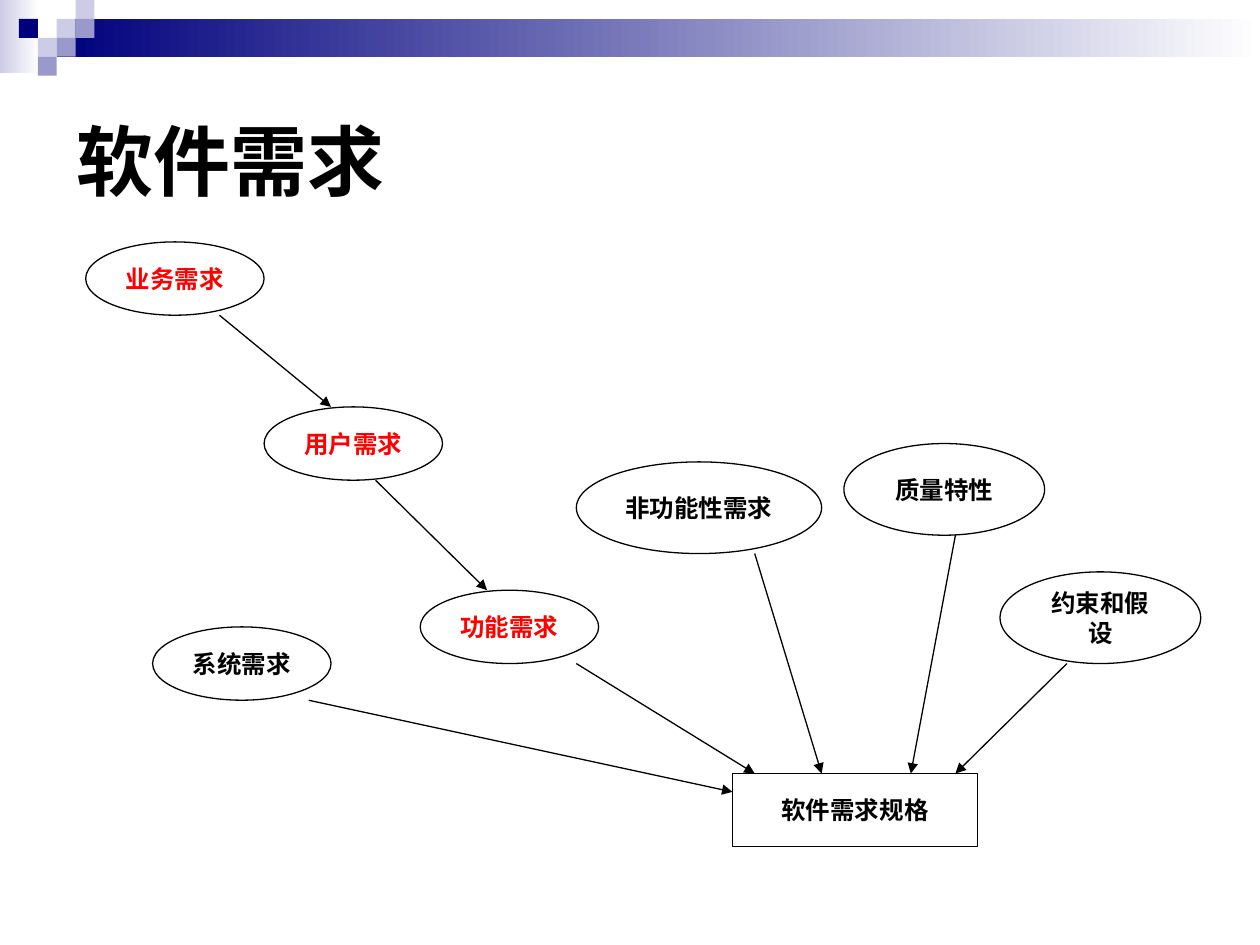
from dataclasses import dataclass
from typing import NamedTuple, Optional

import lxml.etree
import pptx
import pptx.dml.color
import pptx.enum.shapes
import pptx.enum.text
import pptx.oxml.ns
import pptx.util

SHAPES = pptx.enum.shapes.MSO_SHAPE
ALIGN = pptx.enum.text.PP_ALIGN


@dataclass(frozen=True)
class Theme:
    paper: str = "FFFFFF"
    ink: str = "000000"
    accent: str = "FF0000"
    navy: str = "00007D"
    lavender: str = "CCCCE6"
    violet: str = "9999CC"
    title_font: str = "Noto Sans CJK SC"
    label_font: str = "Times New Roman"
    asian_font: str = "Noto Sans CJK SC"
    title_size: float = 44
    label_size: float = 14
    line_width: float = 0.75


class Grid(NamedTuple):
    left: float
    top: float
    column: float
    row: float

    def point(self, column: float, row: float) -> tuple[float, float]:
        return self.left + column * self.column, self.top + row * self.row

    def area(self, column: float, row: float, columns: float, rows: float) -> "Area":
        return Area(*self.point(column, row), columns * self.column, rows * self.row)


class Area(NamedTuple):
    left: float
    top: float
    width: float
    height: float

    def lengths(self) -> list[int]:
        return [pptx.util.Inches(value) for value in self]


class Node(NamedTuple):
    text: str
    column: int
    row: int
    columns: int = 8
    rows: int = 4
    color: str = Theme.ink
    kind: SHAPES = SHAPES.OVAL


class Arrow(NamedTuple):
    start: tuple[int, int]
    end: tuple[int, int]


class Tile(NamedTuple):
    column: int
    row: int
    color: str


THEME = Theme()
TILE_GRID = Grid(0, 0, 0.15, 0.15)
DIAGRAM_GRID = Grid(0.68, 1.92, 0.177, 0.1455)

BANDS = [
    (Area(0, 0, 0.31, 0.58), THEME.lavender),
    (Area(0.45, 0.15, 9.55, 0.3), THEME.navy),
]
TILES = [
    Tile(3, 1, THEME.lavender),
    Tile(4, 0, THEME.lavender),
    Tile(4, 1, THEME.violet),
    Tile(2, 2, THEME.lavender),
    Tile(1, 1, THEME.navy),
    Tile(3, 2, THEME.violet),
    Tile(2, 3, THEME.violet),
]
NODES = [
    Node("业务需求", 0, 0, color=THEME.accent),
    Node("用户需求", 8, 9, color=THEME.accent),
    Node("功能需求", 15, 19, color=THEME.accent),
    Node("软件需求规格", 29, 29, columns=11, kind=SHAPES.RECTANGLE),
    Node("非功能性需求", 22, 12, columns=11, rows=5),
    Node("质量特性", 34, 11, columns=9, rows=5),
    Node("约束和假设", 41, 18, columns=9, rows=5),
    Node("系统需求", 3, 21),
]
ARROWS = [
    Arrow((6, 4), (11, 9)),
    Arrow((13, 13), (18, 19)),
    Arrow((22, 23), (30, 29)),
    Arrow((10, 25), (29, 30)),
    Arrow((30, 17), (33, 29)),
    Arrow((39, 16), (37, 29)),
    Arrow((44, 23), (39, 29)),
]


def rgb(color: str) -> pptx.dml.color.RGBColor:
    return pptx.dml.color.RGBColor.from_string(color)


def add_child(parent, tag: str, **attributes: str) -> None:
    lxml.etree.SubElement(parent, pptx.oxml.ns.qn(tag), **attributes)


def write(box, text: str, size: float, font: str, color: str, align: ALIGN) -> None:
    frame = box.text_frame
    frame.word_wrap = True
    frame.vertical_anchor = pptx.enum.text.MSO_ANCHOR.MIDDLE
    para = frame.paragraphs[0]
    para.alignment = align
    span = para.add_run()
    span.text = text
    span.font.size = pptx.util.Pt(size)
    span.font.bold = True
    span.font.name = font
    span.font.color.rgb = rgb(color)
    add_child(span.font._element, "a:ea", typeface=THEME.asian_font)


def add_filled(page, kind: SHAPES, area: Area, color: str, fade_to: Optional[str] = None):
    shape = page.shapes.add_shape(kind, *area.lengths())
    shape.shadow.inherit = False
    shape.line.fill.background()
    if fade_to is None:
        shape.fill.solid()
        shape.fill.fore_color.rgb = rgb(color)
    else:
        shape.fill.gradient()
        shape.fill.gradient_angle = 0
        for stop, shade in zip(shape.fill.gradient_stops, (color, fade_to)):
            stop.color.rgb = rgb(shade)
    return shape


def style_line(line) -> None:
    line.color.rgb = rgb(THEME.ink)
    line.width = pptx.util.Pt(THEME.line_width)


def add_node(page, node: Node) -> None:
    area = DIAGRAM_GRID.area(node.column, node.row, node.columns, node.rows)
    shape = add_filled(page, node.kind, area, THEME.paper)
    style_line(shape.line)
    write(shape, node.text, THEME.label_size, THEME.label_font, node.color, ALIGN.CENTER)


def add_arrow(page, arrow: Arrow) -> None:
    ends = DIAGRAM_GRID.point(*arrow.start) + DIAGRAM_GRID.point(*arrow.end)
    connector = page.shapes.add_connector(
        pptx.enum.shapes.MSO_CONNECTOR.STRAIGHT, *map(pptx.util.Inches, ends)
    )
    style_line(connector.line)
    add_child(connector.line._get_or_add_ln(), "a:tailEnd", type="triangle")
    add_child(connector._element.spPr, "a:effectLst")


def main() -> None:
    deck = pptx.Presentation()
    deck.slide_width = pptx.util.Inches(10)
    deck.slide_height = pptx.util.Inches(7.5)
    page = deck.slides.add_slide(deck.slide_layouts[6])
    for area, color in BANDS:
        add_filled(page, SHAPES.RECTANGLE, area, color, fade_to=THEME.paper)
    for tile in TILES:
        area = TILE_GRID.area(tile.column, tile.row, 1, 1)
        add_filled(page, SHAPES.RECTANGLE, area, tile.color)
    title = page.shapes.add_textbox(*Area(0.51, 0.52, 9, 1.5).lengths())
    write(title, "软件需求", THEME.title_size, THEME.title_font, THEME.ink, ALIGN.LEFT)
    for node in NODES:
        add_node(page, node)
    for arrow in ARROWS:
        add_arrow(page, arrow)
    deck.save("out.pptx")


if __name__ == "__main__":
    main()
